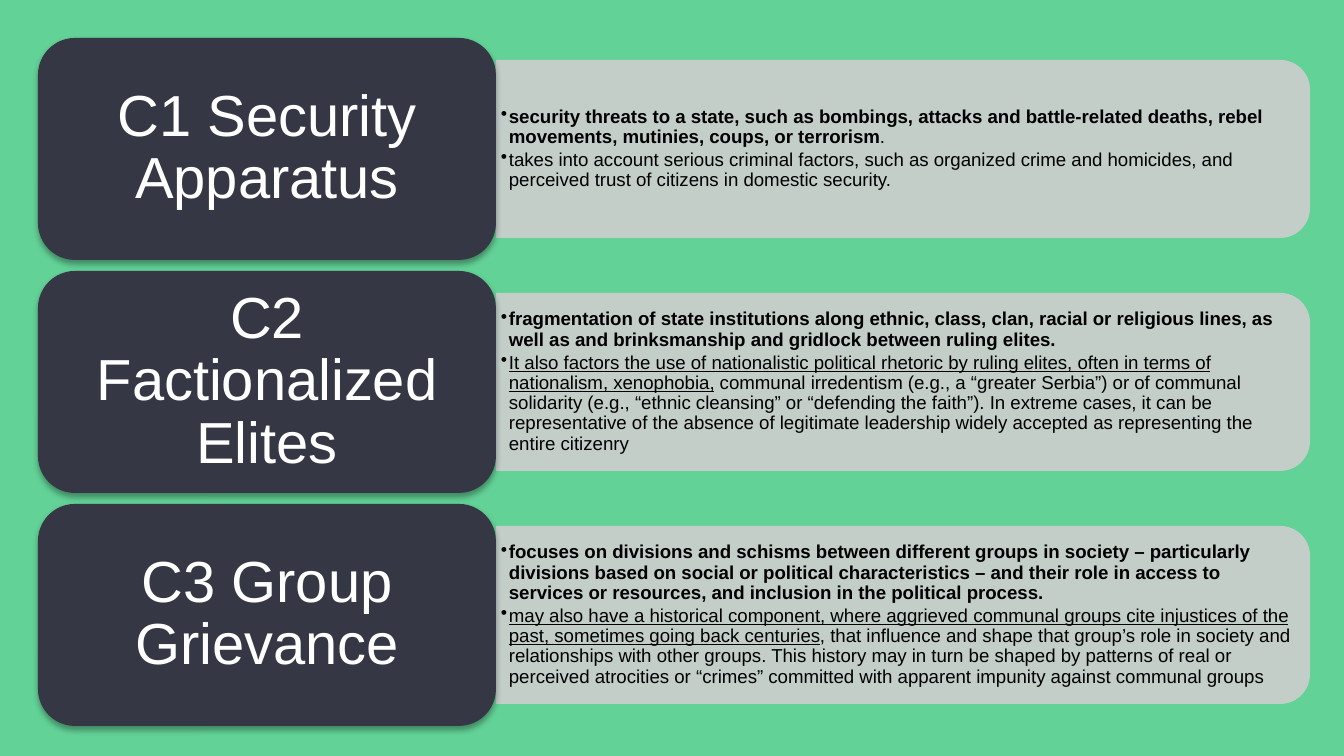
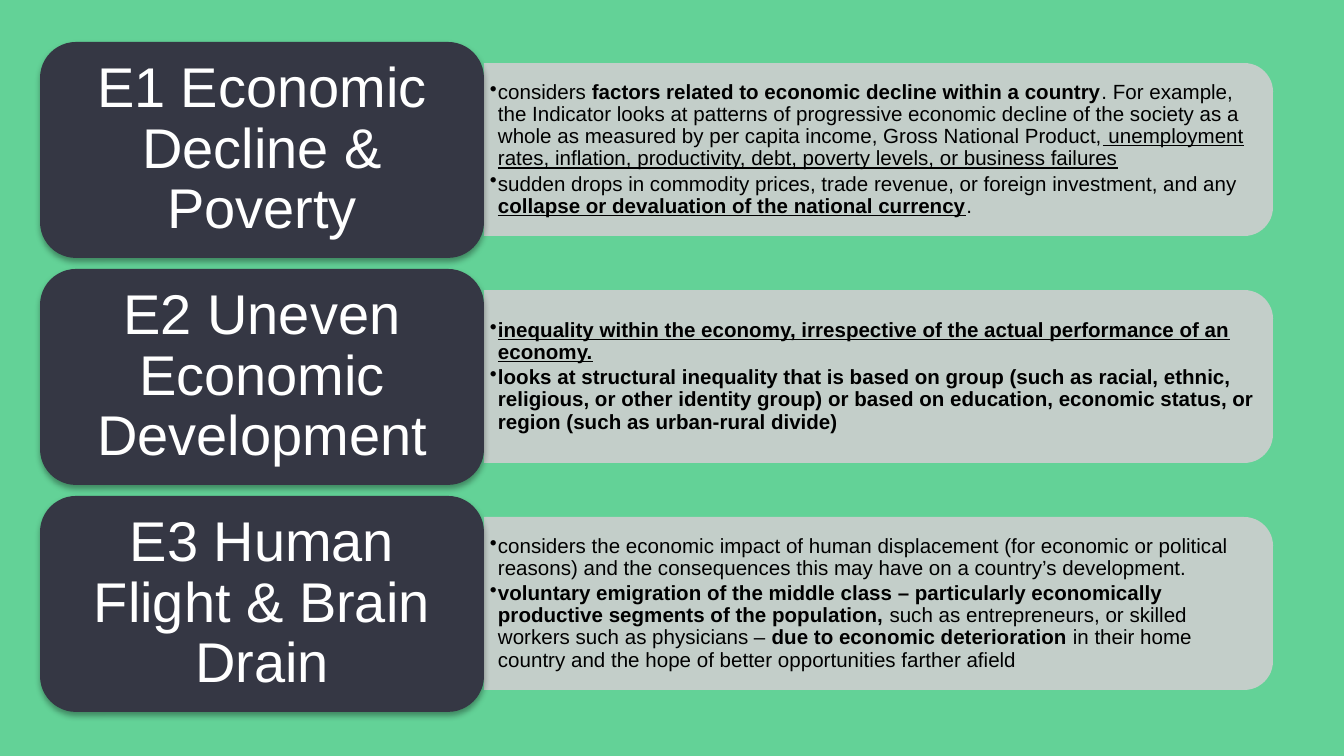
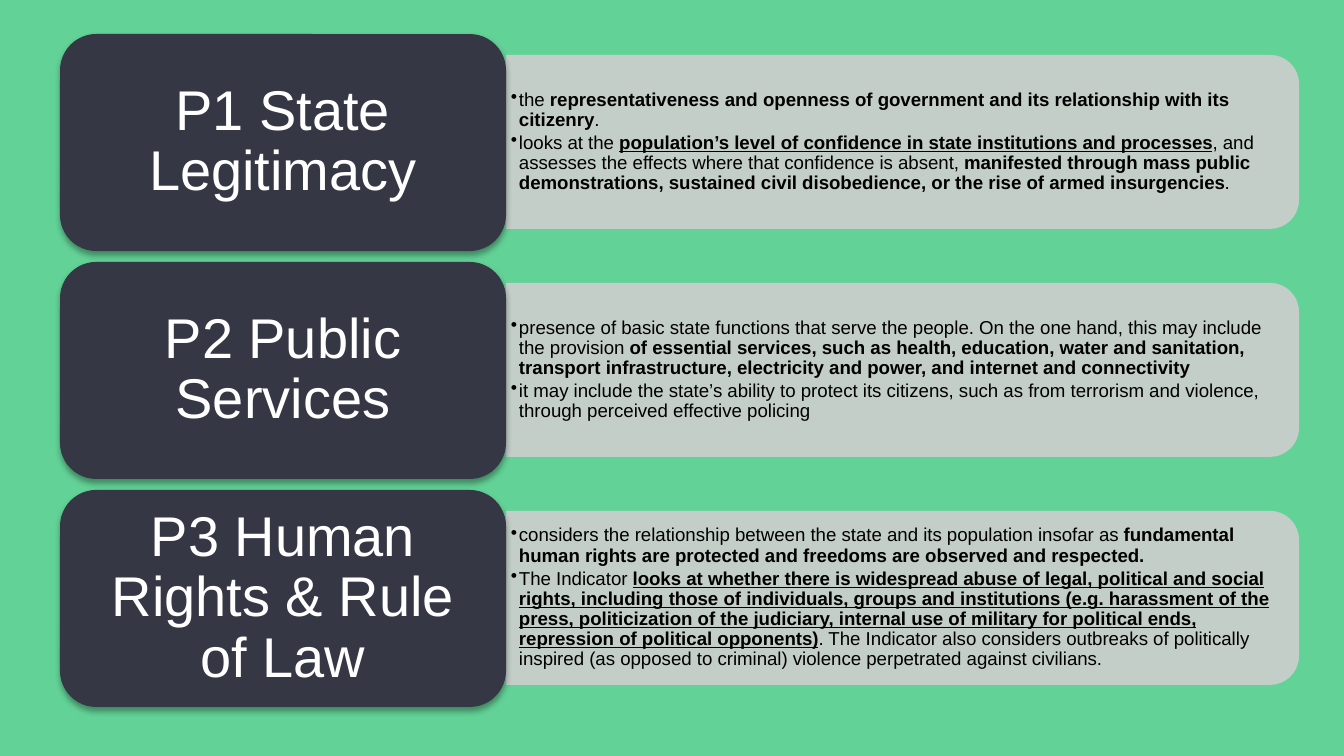
from dataclasses import dataclass

import pptx
import pptx.dml.color
import pptx.enum.shapes
import pptx.enum.text
import pptx.oxml.ns
import pptx.util
from lxml import etree

SCALE = 914400 / 134.4
WIDE, HIGH = 1344, 756
GAP = 11
SHAPE = pptx.enum.shapes.MSO_SHAPE
ALIGN = pptx.enum.text.PP_ALIGN
qn = pptx.oxml.ns.qn


@dataclass(frozen=True)
class Theme:
    back: str = "63D297"
    card: str = "CECECF"
    label: str = "353744"
    light: str = "FFFFFF"
    dark: str = "000000"
    font: str = "Arial"


THEME = Theme()


@dataclass(frozen=True)
class Plan:
    left: int
    top: int
    wide: int
    high: int
    head: int
    body: int
    pad: int
    rows: tuple


SECURE = Plan(38, 38, 458, 222, 31, 10, 5, (
    ("C1 Security Apparatus", [
        [("security threats to a state, such as bombings, attacks and battle-related deaths, "
          "rebel movements, mutinies, coups, or terrorism", "b"), (".", "")],
        [("takes into account serious criminal factors, such as organized crime and homicides, "
          "and perceived trust of citizens in domestic security.", "")],
    ]),
    ("C2 Factionalized Elites", [
        [("fragmentation of state institutions along ethnic, class, clan, racial or religious "
          "lines, as well as and brinksmanship and gridlock between ruling elites.", "b")],
        [("It also factors the use of nationalistic political rhetoric by ruling elites, often "
          "in terms of nationalism, xenophobia,", "u"),
         (" communal irredentism (e.g., a “greater Serbia”) or of communal solidarity (e.g., "
          "“ethnic cleansing” or “defending the faith”). In extreme cases, it can be "
          "representative of the absence of legitimate leadership widely accepted as "
          "representing the entire citizenry", "")],
    ]),
    ("C3 Group Grievance", [
        [("focuses on divisions and schisms between different groups in society – particularly "
          "divisions based on social or political characteristics – and their role in access to "
          "services or resources, and inclusion in the political process.", "b")],
        [("may also have a historical component, where aggrieved communal groups cite "
          "injustices of the past, sometimes going back centuries", "u"),
         (", that influence and shape that group’s role in society and relationships with other "
          "groups. This history may in turn be shaped by patterns of real or perceived "
          "atrocities or “crimes” committed with apparent impunity against communal groups", "")],
    ]),
))

WEALTH = Plan(40, 42, 444, 216, 30, 11, 6, (
    ("E1 Economic Decline & Poverty", [
        [("considers ", ""), ("factors related to economic decline within a country", "b"),
         (". For example, the Indicator looks at patterns of progressive economic decline of the "
          "society as a whole as measured by per capita income, Gross National Product,", ""),
         (" unemployment rates, inflation, productivity, debt, poverty levels, or business "
          "failures", "u")],
        [("sudden drops in commodity prices, trade revenue, or foreign investment, and any ", ""),
         ("collapse or devaluation of the national currency", "bu"), (".", "")],
    ]),
    ("E2 Uneven Economic Development", [
        [("inequality within the economy, irrespective of the actual performance of an "
          "economy.", "bu")],
        [("looks at structural inequality that is based on group (such as racial, ethnic, "
          "religious, or other identity group) or based on education, economic status, or region "
          "(such as urban-rural divide)", "b")],
    ]),
    ("E3 Human Flight & Brain Drain", [
        [("considers the economic impact of human displacement (for economic or political "
          "reasons) and the consequences this may have on a country’s development.", "")],
        [("voluntary emigration of the middle class – particularly economically productive "
          "segments of the population, ", "b"),
         ("such as entrepreneurs, or skilled workers such as physicians – ", ""),
         ("due to economic deterioration ", "b"),
         ("in their home country and the hope of better opportunities farther afield", "")],
    ]),
))

STATE = Plan(60, 34, 446, 217, 30, 10, 5, (
    ("P1 State Legitimacy", [
        [("the ", ""),
         ("representativeness and openness of government and its relationship with its "
          "citizenry", "b"), (".", "")],
        [("looks at the ", ""),
         ("population’s level of confidence in state institutions and processes", "bu"),
         (", and assesses the effects where that confidence is absent, ", ""),
         ("manifested through mass public demonstrations, sustained civil disobedience, or the "
          "rise of armed insurgencies", "b"), (".", "")],
    ]),
    ("P2 Public Services", [
        [("presence of basic state functions that serve the people. On the one hand, this may "
          "include the provision ", ""),
         ("of essential services, such as health, education, water and sanitation, transport "
          "infrastructure, electricity and power, and internet and connectivity", "b")],
        [("it may include the state’s ability to protect its citizens, such as from terrorism "
          "and violence, through perceived effective policing", "")],
    ]),
    ("P3 Human Rights & Rule of Law", [
        [("considers the relationship between the state and its population insofar as ", ""),
         ("fundamental human rights are protected and freedoms are observed and respected.", "b")],
        [("The Indicator ", ""),
         ("looks at whether there is widespread abuse of legal, political and social rights, "
          "including those of individuals, groups and institutions (e.g. harassment of the "
          "press, politicization of the judiciary, internal use of military for political ends, "
          "repression of political opponents)", "bu"),
         (". The Indicator also considers outbreaks of politically inspired (as opposed to "
          "criminal) violence perpetrated against civilians.", "")],
    ]),
))


def px(num):
    return pptx.util.Emu(round(num * SCALE))


def paint(fill, tone):
    fill.solid()
    fill.fore_color.rgb = pptx.dml.color.RGBColor.from_string(tone)


def node(root, tag, **attrs):
    return etree.SubElement(root, qn(tag), {key: str(val) for key, val in attrs.items()})


def block(slide, kind, box, tone):
    shape = slide.shapes.add_shape(kind, *map(px, box))
    shape.shadow.inherit = False
    paint(shape.fill, tone)
    shape.line.fill.background()
    return shape


def fade(shape, cent):
    tone = shape.element.spPr.find(".//" + qn("a:srgbClr"))
    node(tone, "a:alpha", val=cent * 1000)


def shade(shape):
    effect = shape.element.spPr.find(qn("a:effectLst"))
    outer = node(effect, "a:outerShdw", blurRad=40000, dist=23000, dir=5400000, rotWithShape=0)
    tone = node(outer, "a:srgbClr", val=THEME.dark)
    node(tone, "a:alpha", val=35000)


def bullet(para):
    para.level = 1
    props = para._p.get_or_add_pPr()
    props.set("marL", str(px(8)))
    props.set("indent", str(-px(8)))
    node(node(props, "a:buClr"), "a:srgbClr", val=THEME.dark)
    node(props, "a:buChar", char="•")


def text(slide, box, paras, size, tone, pad, after, align=ALIGN.LEFT, dots=False):
    frame = slide.shapes.add_textbox(*map(px, box)).text_frame
    frame.word_wrap = True
    frame.vertical_anchor = pptx.enum.text.MSO_ANCHOR.MIDDLE
    frame.margin_left = frame.margin_right = px(pad)
    frame.margin_top = frame.margin_bottom = px(pad // 2)
    for num, runs in enumerate(paras):
        para = frame.add_paragraph() if num else frame.paragraphs[0]
        space = node(para._p.get_or_add_pPr(), "a:spcAft")
        node(space, "a:spcPct", val=after * 1000)
        if dots:
            bullet(para)
        para.line_spacing = 0.9
        para.alignment = align
        for words, style in runs:
            run = para.add_run()
            run.text = words
            font = run.font
            font.name = THEME.font
            font.size = pptx.util.Pt(size)
            font.bold = "b" in style
            font.underline = "u" in style
            font.color.rgb = pptx.dml.color.RGBColor.from_string(tone)


def card(slide, plan, top, paras):
    wide, high = round(plan.wide * 16 / 9), round(plan.high * 0.8)
    left = plan.left + plan.wide
    top += (plan.high - high) // 2
    turn = (wide - high) / 2
    shape = block(slide, SHAPE.ROUND_2_SAME_RECTANGLE,
                  (left + turn, top - turn, high, wide), THEME.card)
    shape.rotation = 90
    fade(shape, 90)
    text(slide, (left, top + 9, wide - 9, high - 18), paras, size=plan.body,
         tone=THEME.dark, pad=plan.pad, after=15, dots=True)


def label(slide, plan, top, words):
    box = (plan.left, top, plan.wide, plan.high)
    shade(block(slide, SHAPE.ROUNDED_RECTANGLE, box, THEME.label))
    inner = (plan.left + GAP, top + GAP, plan.wide - 2 * GAP, plan.high - 2 * GAP)
    text(slide, inner, [[(words, "")]], size=plan.head, tone=THEME.light,
         pad=16, after=35, align=ALIGN.CENTER)


def build(deck, plan):
    slide = deck.slides.add_slide(deck.slide_layouts[6])
    paint(slide.background.fill, THEME.back)
    for num, (words, paras) in enumerate(plan.rows):
        top = plan.top + num * (plan.high + GAP)
        card(slide, plan, top, paras)
        label(slide, plan, top, words)


def main():
    deck = pptx.Presentation()
    deck.slide_width, deck.slide_height = px(WIDE), px(HIGH)
    for plan in (SECURE, WEALTH, STATE):
        build(deck, plan)
    deck.save("out.pptx")


if __name__ == "__main__":
    main()
